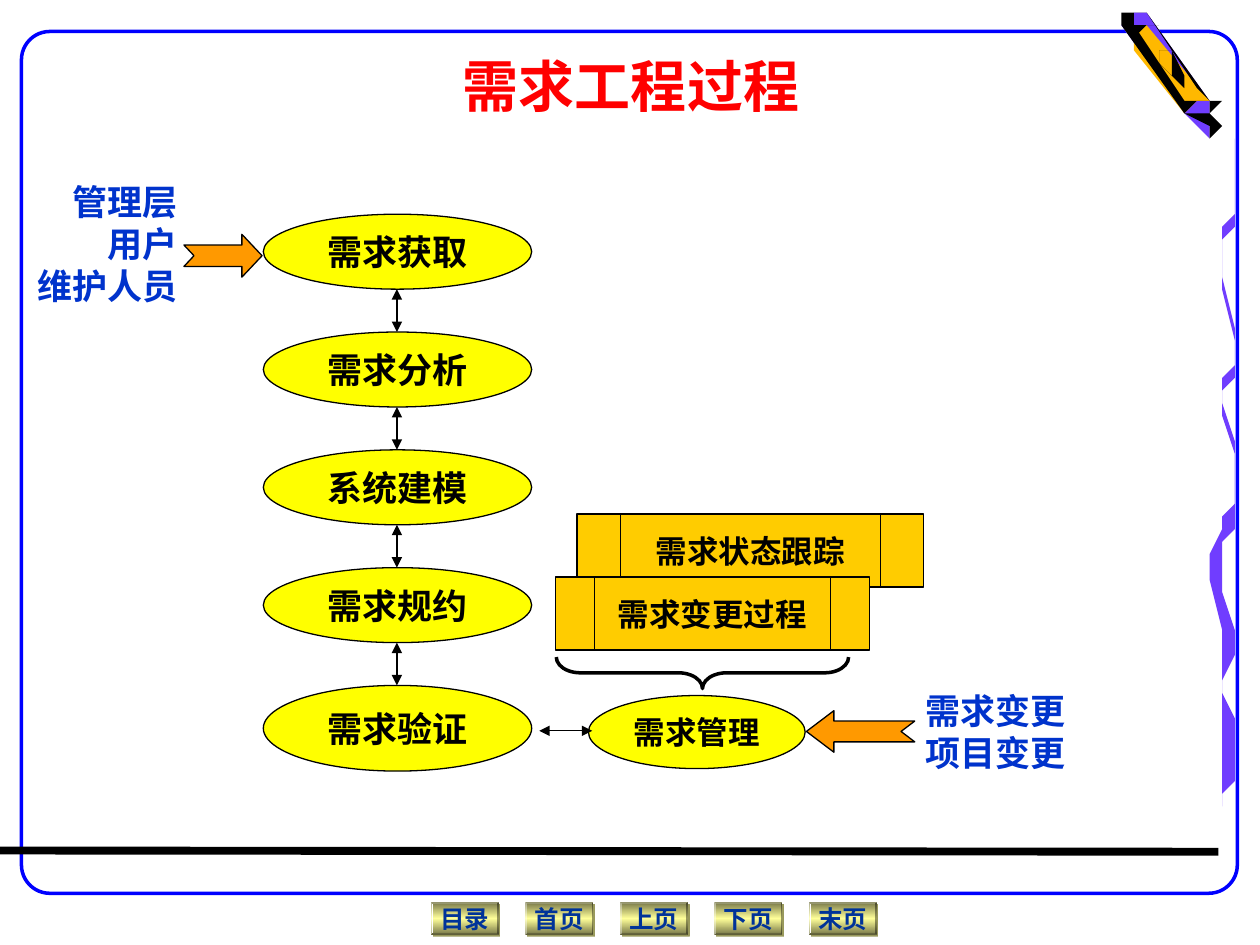
from dataclasses import dataclass
from copy import deepcopy
from lxml.etree import SubElement as Sub
from pptx import Presentation
from pptx.dml.color import RGBColor
from pptx.enum.shapes import MSO_CONNECTOR as Conn, MSO_SHAPE as Kind
from pptx.enum.text import MSO_ANCHOR as Anchor, PP_ALIGN as Align
from pptx.oxml.ns import qn
from pptx.util import Emu, Inches, Pt

COLS, ROWS = 100, 75
UNIT = Inches(0.1)
BODY = "Comic Neue"
STEP, GAP = 9.35, 7.5
MID = 31.5

prs = Presentation()
prs.slide_width, prs.slide_height = COLS * UNIT, ROWS * UNIT
slide = prs.slides.add_slide(prs.slide_layouts[6])
shapes = slide.shapes


@dataclass
class Box:
    x: float
    y: float
    w: float
    h: float


@dataclass
class Node:
    kind: Kind
    box: Box
    fill: str | None
    text: str = ""
    size: int = 20
    line: str | None = "000000"
    width: float = 0.75
    turn: int = 0
    adj: tuple = ()


@dataclass
class Label:
    box: Box
    lines: list
    size: int
    color: str
    font: str = BODY
    align: Align = Align.RIGHT
    lead: float | None = None


@dataclass
class Link:
    x1: float
    y1: float
    x2: float
    y2: float
    width: float = 0.75
    heads: bool = True


def tint(code: str) -> RGBColor:
    return RGBColor.from_string(code)


def grid(*vals: float) -> list:
    return [Emu(round(v * UNIT)) for v in vals]


def place(box: Box) -> list:
    return grid(box.x, box.y, box.w, box.h)


def style(par, size: int, color: str, font: str = BODY, align: Align = Align.CENTER) -> None:
    par.alignment = align
    par.font.size, par.font.name, par.font.bold = Pt(size), font, True
    par.font.color.rgb = tint(color)


def draw(node: Node, color: str = "000000", font: str = BODY):
    shp = shapes.add_shape(node.kind, *place(node.box))
    shp.shadow.inherit = False
    shp.rotation = node.turn
    for i, val in enumerate(node.adj):
        shp.adjustments[i] = val
    if node.fill:
        shp.fill.solid()
        shp.fill.fore_color.rgb = tint(node.fill)
    else:
        shp.fill.background()
    if node.line:
        shp.line.color.rgb = tint(node.line)
        shp.line.width = Pt(node.width)
    else:
        shp.line.fill.background()
    if node.text:
        frame = shp.text_frame
        frame.word_wrap = False
        frame.vertical_anchor = Anchor.MIDDLE
        frame.text = node.text
        style(frame.paragraphs[0], node.size, color, font)
    return shp


def button(col: int, text: str) -> None:
    box = Box(34.2 + col * GAP, 71.6, 5.4, 2.6)
    node = Node(Kind.BEVEL, box, "FFFF99", text, 14, None, adj=(0.05,))
    shp = draw(node, "003399", "Times New Roman")
    shp.fill.gradient()
    shp.fill.gradient_angle = 90
    last = shp.fill._xPr.findall(".//" + qn("a:gs"))[-1]
    last.addprevious(deepcopy(last))
    stops = shp.fill.gradient_stops
    for stop, pos, code in zip(stops, (0, 0.5, 1), ("767647", "FFFF99", "767647")):
        stop.position, stop.color.rgb = pos, tint(code)
    glow = shp._element.spPr.find(qn("a:effectLst"))
    cast = Sub(glow, qn("a:outerShdw"), dist="17780", dir="2700000")
    Sub(cast, qn("a:srgbClr"), val="99995C")


def write(lab: Label) -> None:
    frame = shapes.add_textbox(*place(lab.box)).text_frame
    frame.word_wrap = False
    frame.vertical_anchor = Anchor.MIDDLE
    frame.text = "\n".join(lab.lines)
    for par in frame.paragraphs:
        style(par, lab.size, lab.color, lab.font, lab.align)
        if lab.lead:
            par.line_spacing = Pt(lab.lead)


def join(link: Link) -> None:
    con = shapes.add_connector(Conn.STRAIGHT, *grid(link.x1, link.y1, link.x2, link.y2))
    con.line.color.rgb = tint("000000")
    con.line.width = Pt(link.width)
    if link.heads:
        for end in ("a:headEnd", "a:tailEnd"):
            Sub(con.line._get_or_add_ln(), qn(end), type="triangle")
    Sub(con._element.spPr, qn("a:effectLst"))


def points(text: str) -> list:
    return [tuple(float(n) / 10 for n in pair.split(",")) for pair in text.split()]


def trace(dots: list, fill: str) -> None:
    pen = shapes.build_freeform(*dots[0], scale=UNIT)
    pen.add_line_segments(dots[1:], close=True)
    shp = pen.convert_to_shape()
    shp.shadow.inherit = False
    shp.fill.solid()
    shp.fill.fore_color.rgb = tint(fill)
    shp.line.fill.background()


RIBBON = points(
    "966,630 973,612 974,598 973,577 968,553 967,537 968,527 972,519 973,510 972,496 965,460 "
    "965,442 966,422 972,413 976,397 980,361 980,394 977,413 973,425 968,432 968,450 970,469 "
    "975,502 976,524 971,535 971,547 975,570 977,592 975,616 972,628 967,639")

CRAYON = [
    ("F8F8F8", "968,103 963,89 952,66 909,9 902,8 896,12 894,22 941,88 956,95 966,104"),
    ("703DFF", "906,12 959,82 961,92 965,106 963,107 951,97 939,91 891,24 893,15 900,10"),
    ("FFB800", "898,35 938,91 946,81 956,79 913,21 905,25"),
    ("000000", "963,87 956,88 951,92 956,94 959,91 964,90"),
    ("000000", "909,7 901,6 893,12 892,22 940,89 955,97 965,106 971,105 965,91 966,80 962,79 "
               "962,88 965,101 956,94 944,88 951,81 960,78 954,75 946,78 940,84 896,21 897,15 "
               "902,10 912,9"),
    ("000000", "913,10 961,75 954,72 907,8"),
    ("000000", "915,17 906,19 901,25 900,30 903,34 908,24 917,20"),
    ("000000", "919,38 926,45 933,55 937,65 930,60 922,49 919,42 920,48 926,60 936,68 940,65 "
               "938,57 928,43 919,36"),
]

STAGES = ["需求获取", "需求分析", "系统建模", "需求规约", "需求验证"]


def main() -> None:
    for col, text in enumerate(["目录", "首页", "上页", "下页", "末页"]):
        button(col, text)
    draw(Node(Kind.ROUNDED_RECTANGLE, Box(1.7, 2.5, 96.5, 68.4), "FFFFFF",
              line="0000FF", width=2, adj=(0.033,)))
    join(Link(0, 67.5, 96.7, 67.6, 4.5, False))
    trace(RIBBON, "703DFF")
    trace([(x + 0.3, 11.1 + (y - 36.1) * 1.14) for x, y in RIBBON], "703DFF")
    for fill, text in CRAYON:
        trace(points(text), fill)

    write(Label(Box(5.1, 3.6, 90, 6.3), ["需求工程过程"], 32, "FF0000",
                "Noto Sans CJK SC", Align.CENTER))
    draw(Node(Kind.FLOWCHART_PREDEFINED_PROCESS, Box(45.8, 40.8, 27.5, 5.8),
              "FFCC00", "需求状态跟踪", 18))
    write(Label(Box(2, 13.8, 13.1, 11), ["管理层", "用户", "维护人员"], 20, "0033CC", lead=24))
    draw(Node(Kind.NOTCHED_RIGHT_ARROW, Box(14.6, 18.6, 6.2, 3.4), "FF9900", adj=(0.5, 0.47)))

    for row, text in enumerate(STAGES):
        top = 17 + row * STEP
        tall = 6.8 if text == STAGES[-1] else 5.95
        draw(Node(Kind.OVAL, Box(20.9, top, 21.3, tall), "FFFF00", text))
        if row:
            join(Link(MID, top - STEP + 5.95, MID, top))

    draw(Node(Kind.OVAL, Box(46.7, 55.2, 17.2, 5.8), "FFFF00", "需求管理", 18))
    join(Link(42.8, 58, 47, 58))
    draw(Node(Kind.FLOWCHART_PREDEFINED_PROCESS, Box(44.1, 45.8, 24.9, 5.8),
              "FFCC00", "需求变更过程", 18))
    draw(Node(Kind.RIGHT_BRACE, Box(54.5, 41.8, 2.5, 23.2), None,
              width=2, turn=90, adj=(0.76, 0.5)))
    draw(Node(Kind.NOTCHED_RIGHT_ARROW, Box(64, 56.4, 8.6, 3.3), "FF9900",
              turn=180, adj=(0.5, 0.66)))
    write(Label(Box(72.5, 54.2, 13.1, 7.7), ["需求变更", "项目变更"], 20, "0033CC", lead=24))
    prs.save("out.pptx")


if __name__ == "__main__":
    main()
